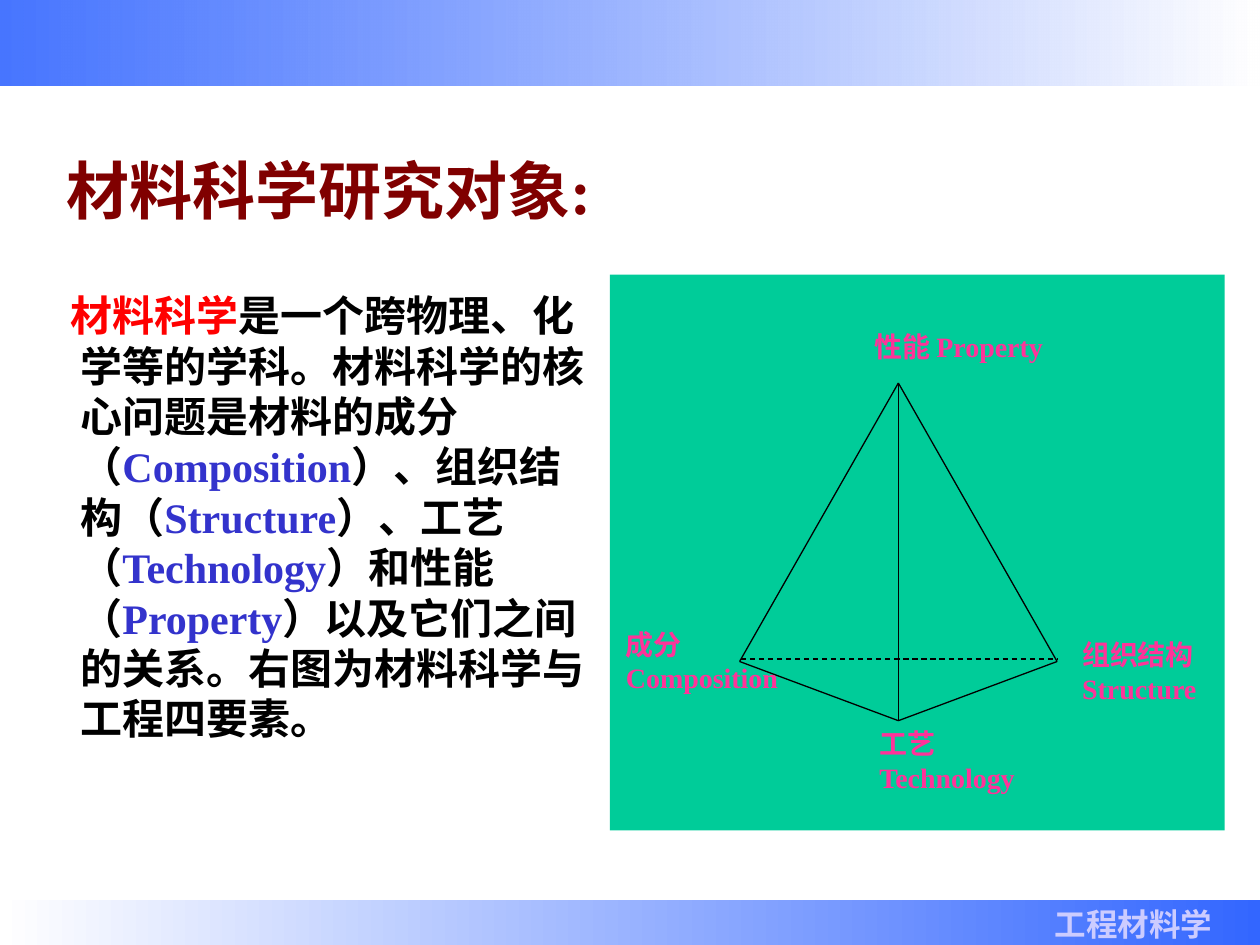
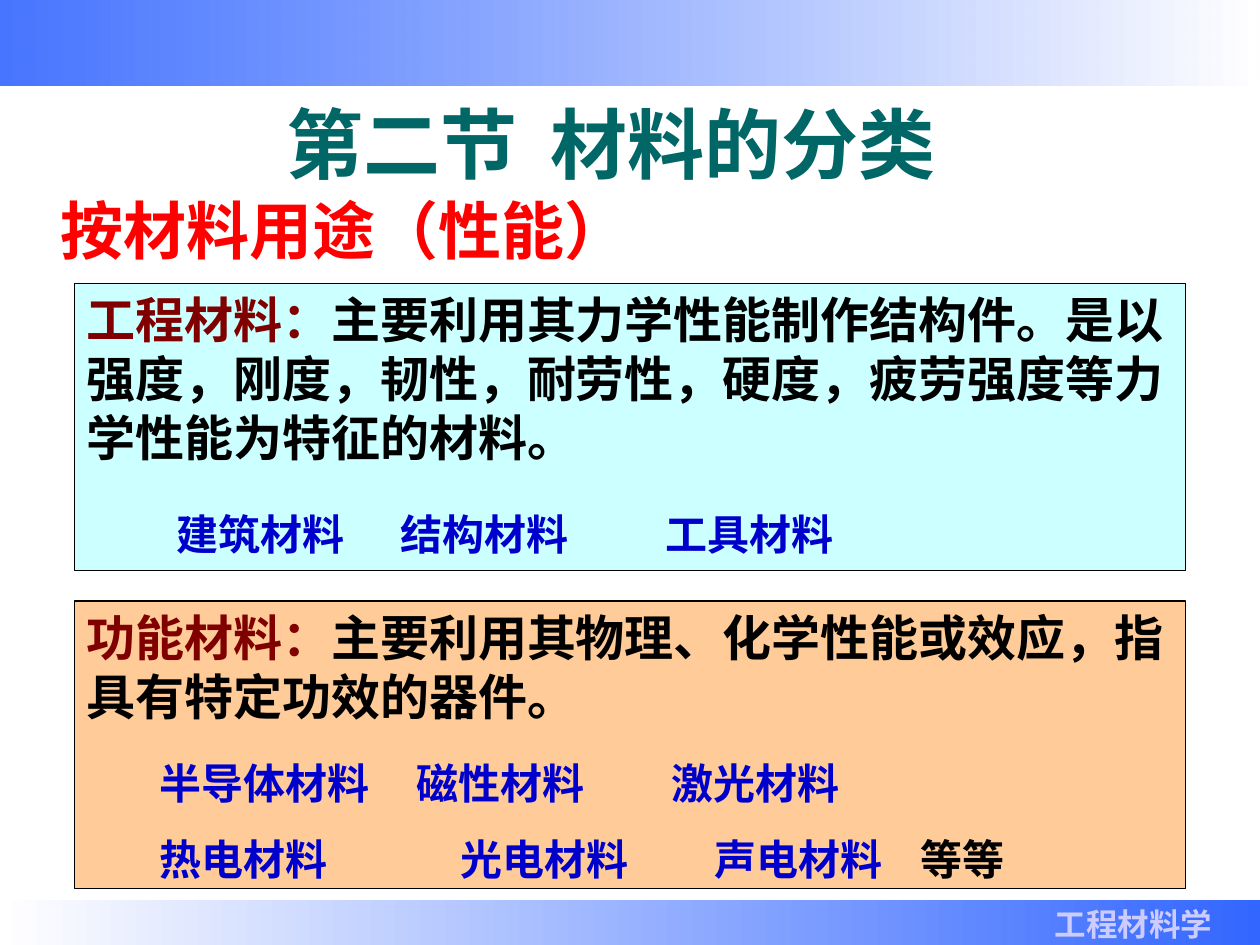
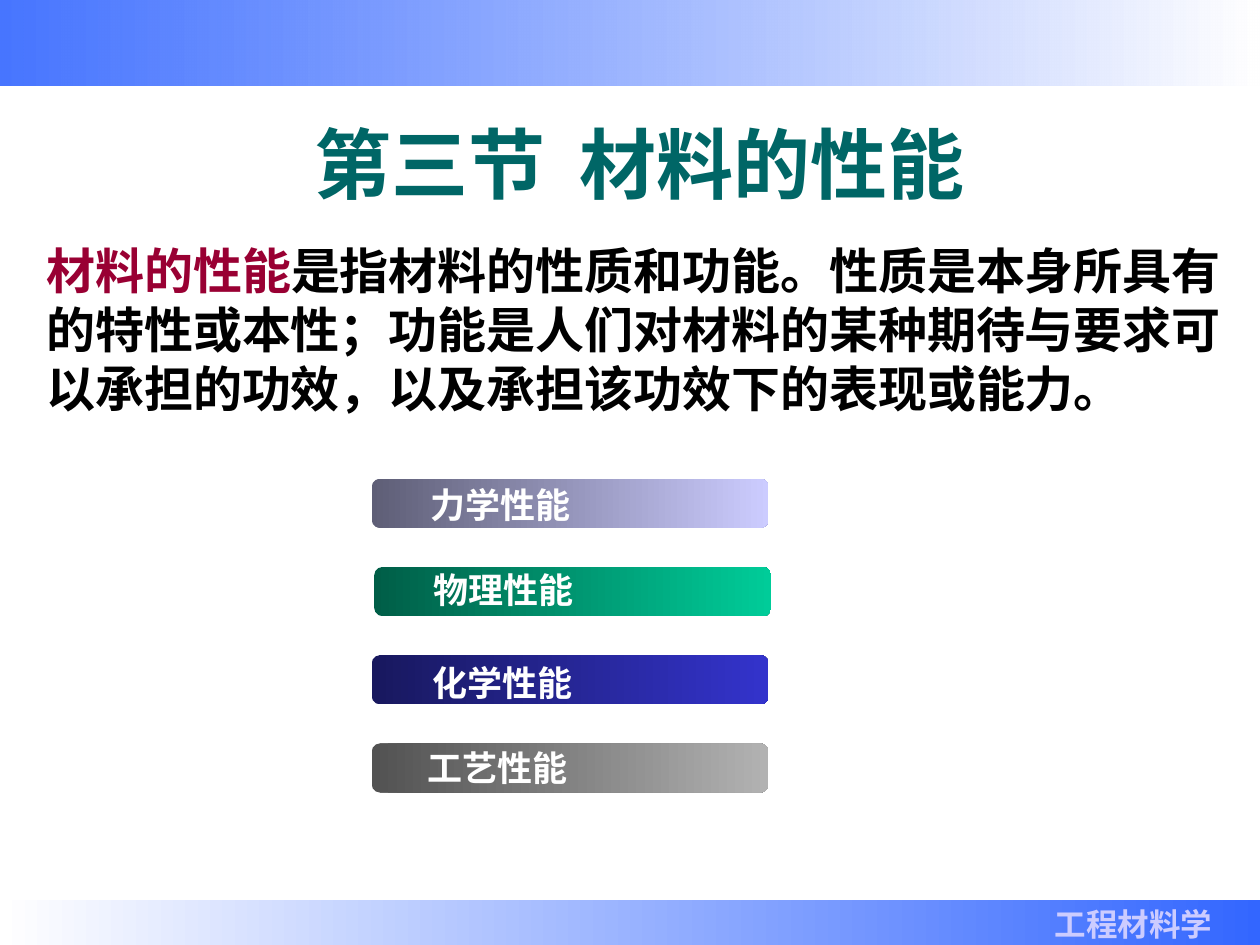
from pptx import Presentation
from pptx.dml.color import RGBColor
from pptx.enum.dml import MSO_LINE
from pptx.enum.shapes import MSO_CONNECTOR, MSO_SHAPE
from pptx.enum.text import MSO_ANCHOR, PP_ALIGN
from pptx.oxml.ns import qn
from pptx.util import Inches, Pt
from lxml import etree

W, H = 10, 7.5
TIMES, ARIAL, CJK = "Times New Roman", "Arial", "Noto Sans CJK SC"
BLACK, WHITE, RED, MAROON = "000000", "FFFFFF", "FF0000", "800000"
BLUE, TERM, TEAL, PINK = "3366FF", "3333CC", "006666", "FF3399"
LIST_BLUE, GREEN = "0000CC", "00CC99"

FOOTER = "工程材料学"

SCIENCE_TITLE = "材料科学研究对象:"
SCIENCE = [
    ("材料科学", RED), ("是一个跨物理、化学等的学科。材料科学的核心问题是材料的成分（", BLACK),
    ("Composition", TERM), ("）、组织结构（", BLACK), ("Structure", TERM),
    ("）、工艺（", BLACK), ("Technology", TERM), ("）和性能（", BLACK),
    ("Property", TERM), ("）以及它们之间的关系。右图为材料科学与工程四要素。", BLACK),
]
APEX, LEFT, RIGHT, FRONT = (7.13, 3.04), (5.87, 5.25), (8.39, 5.25), (7.13, 5.72)
EDGES = [(APEX, FRONT), (APEX, RIGHT), (APEX, LEFT), (LEFT, FRONT), (FRONT, RIGHT)]
BACK_EDGE = ((5.88, 5.23), (8.39, 5.23))
ELEMENTS = [
    (["性能 Property"], (6.84, 2.57, 1.63, 0.47)),
    (["组织结构", "Structure"], (8.49, 5.01, 1.13, 0.79)),
    (["工艺", "Technology"], (6.88, 5.72, 1.38, 0.79)),
    (["成分", "Composition"], (4.87, 4.93, 1.5, 0.79)),
]

CLASSES_TITLE = "第二节\t材料的分类"
CLASSES_BY = "按材料用途（性能）"
# fill, panel top, heading, definition, list box, rows of (runs, tab stops)
CLASSES = [
    ("FFCC99", 4.77, "功能材料：", "主要利用其物理、化学性能或效应，指具有特定功效的器件。",
     (1.17, 5.96, 7.58, 1.11),
     [([("半导体材料\t磁性材料\t激光材料", LIST_BLUE)], (2.04, 4.06)),
      ([("热电材料\t光电材料\t声电材料", LIST_BLUE), ("\t等等", BLACK)], (2.39, 4.4, 6.04))]),
    ("CCFFFF", 2.25, "工程材料：",
     "主要利用其力学性能制作结构件。是以强度，刚度，韧性，耐劳性，硬度，疲劳强度等力学性能为特征的材料。",
     (1.3, 3.99, 7.58, 0.5),
     [([("建筑材料\t结构材料\t工具材料", LIST_BLUE)], (1.78, 3.88))]),
]

PROPERTIES_TITLE = "第三节\t材料的性能"
PROPERTIES = [
    ("材料的性能", "990033"),
    ("是指材料的性质和功能。性质是本身所具有的特性或本性；功能是人们对材料的某种期待与要求"
     "可以承担的功效，以及承担该功效下的表现或能力。", BLACK),
]
# label, font, gradient, bar left, label (left, top, width)
BARS = [
    ("力学性能", ARIAL, ("5E5E76", "CCCCFF"), 2.95, (3.29, 3.75, 5.57)),
    ("物理性能", ARIAL, ("005E47", GREEN), 2.97, (3.32, 4.42, 5.57)),
    ("化学性能", TIMES, ("18185E", TERM), 2.95, (3.31, 5.16, 5.57)),
    ("工艺性能", TIMES, ("525252", "B2B2B2"), 2.95, (3.27, 5.84, 2.88)),
]
BAR_TOP, BAR_PITCH = 3.8, 0.7


def rgb(value):
    return RGBColor.from_string(value)


def inches(values):
    return [Inches(v) for v in values]


def add_box(s, at, fill=None, line=None, kind=MSO_SHAPE.RECTANGLE):
    """Preset shape; fill is a hex colour or a pair for a left-to-right gradient."""
    sp = s.shapes.add_shape(kind, *inches(at))
    sp.shadow.inherit = False
    if isinstance(fill, tuple):
        sp.fill.gradient()
        sp.fill.gradient_angle = 0
        for stop, color in zip(sp.fill.gradient_stops, fill):
            stop.color.rgb = rgb(color)
    elif fill:
        sp.fill.solid()
        sp.fill.fore_color.rgb = rgb(fill)
    else:
        sp.fill.background()
    if line:
        sp.line.color.rgb = rgb(line)
        sp.line.width = Pt(0.75)
    else:
        sp.line.fill.background()
    return sp


def add_line(s, start, end, dash=None):
    ln = s.shapes.add_connector(MSO_CONNECTOR.STRAIGHT, *inches(start + end))
    ln.line.color.rgb = rgb(BLACK)
    ln.line.width = Pt(0.75)
    if dash:
        ln.line.dash_style = dash
    etree.SubElement(ln._element.spPr, qn("a:effectLst"))


def set_tabs(p, stops):
    tabs = etree.SubElement(p._p.get_or_add_pPr(), qn("a:tabLst"))
    for stop in stops:
        etree.SubElement(tabs, qn("a:tab"), pos=str(Inches(stop)), algn="l")


def write(sp, paragraphs, size, font=TIMES, align=PP_ALIGN.LEFT, gap=0, tabs=(), **frame):
    """Fill a shape with paragraphs, each a list of (text, colour) runs."""
    tf = sp.text_frame
    tf.word_wrap = True
    for name, value in frame.items():
        setattr(tf, name, value)
    for i, runs in enumerate(paragraphs):
        p = tf.add_paragraph() if i else tf.paragraphs[0]
        p.alignment = align
        if i and gap:
            p.space_before = Pt(gap)
        if tabs:
            set_tabs(p, tabs[i])
        for text, color in runs:
            r = p.add_run()
            r.text = text
            for name, value in dict(size=Pt(size), name=font, bold=True).items():
                setattr(r.font, name, value)
            r.font.color.rgb = rgb(color)
    return tf


def add_text(s, at, paragraphs, size, **options):
    return write(s.shapes.add_textbox(*inches(at)), paragraphs, size, **options)


def add_section_title(s, at, text, font, inset=0.1):
    add_text(s, at, [[(text, TEAL)]], 44, font=font, tabs=[(2.1,)],
             margin_left=Inches(inset), vertical_anchor=MSO_ANCHOR.MIDDLE)


def new_slide(prs):
    """Blank slide with the two gradient bands and the course name."""
    s = prs.slides.add_slide(prs.slide_layouts[6])
    top = add_box(s, (0, 0, W, 0.68), (BLUE, WHITE))
    first_color = next(top._element.spPr.iter(qn("a:srgbClr")))
    etree.SubElement(first_color, qn("a:alpha"), val="90000")
    add_box(s, (0, 7.14, W, H - 7.14), (WHITE, BLUE))
    add_text(s, (7.2, 7.13, 2.52, 0.4), [[(FOOTER, "CCCCFF")]], 18, align=PP_ALIGN.RIGHT)
    return s


def science_slide(prs):
    s = new_slide(prs)
    tf = add_text(s, (0.16, 2.25, 4.61, 4.17), [SCIENCE], 24)
    pPr = tf.paragraphs[0]._p.get_or_add_pPr()
    pPr.set("marL", str(Inches(0.38)))
    pPr.set("indent", str(Inches(-0.08)))
    add_text(s, (0.43, 1.15, 4.58, 0.7), [[(SCIENCE_TITLE, MAROON)]], 36)
    add_box(s, (4.84, 2.18, 4.88, 4.41), GREEN)
    for start, end in EDGES:
        add_line(s, start, end)
    add_line(s, *BACK_EDGE, dash=MSO_LINE.DASH)
    for lines, at in ELEMENTS:
        add_text(s, at, [[(text, PINK)] for text in lines], 16)


def classes_slide(prs):
    s = new_slide(prs)
    for fill, top, *_ in CLASSES:
        add_box(s, (0.59, top, 8.82, 2.28), fill, BLACK)
    add_section_title(s, (1.73, 0.76, 6.21, 0.75), CLASSES_TITLE, TIMES, 0.54)
    add_text(s, (0.38, 1.47, 5.33, 0.7), [[(CLASSES_BY, RED)]], 36)
    for _, top, heading, definition, list_at, rows in CLASSES:
        add_text(s, (0.59, top, 8.83, 1.5), [[(heading, MAROON), (definition, BLACK)]],
                 28, font=CJK)
        add_text(s, list_at, [runs for runs, _ in rows], 24, font=CJK, gap=15,
                 tabs=[stops for _, stops in rows])


def properties_slide(prs):
    s = new_slide(prs)
    add_text(s, (0.27, 1.86, 9.73, 1.5), [PROPERTIES], 28)
    add_section_title(s, (2.4, 0.87, 5.59, 0.84), PROPERTIES_TITLE, ARIAL)
    for i, (_, _, gradient, left, _) in enumerate(BARS):
        add_box(s, (left, BAR_TOP + i * BAR_PITCH, 3.15, 0.39), gradient,
                kind=MSO_SHAPE.ROUNDED_RECTANGLE)
    for text, font, _, _, (left, top, width) in BARS:
        label = add_box(s, (left, top, width, 0.51), kind=MSO_SHAPE.ROUNDED_RECTANGLE)
        write(label, [[(text, WHITE)]], 20, font=font, vertical_anchor=MSO_ANCHOR.MIDDLE)


def main():
    prs = Presentation()
    prs.slide_width, prs.slide_height = Inches(W), Inches(H)
    science_slide(prs)
    classes_slide(prs)
    properties_slide(prs)
    prs.save("out.pptx")


if __name__ == "__main__":
    main()
